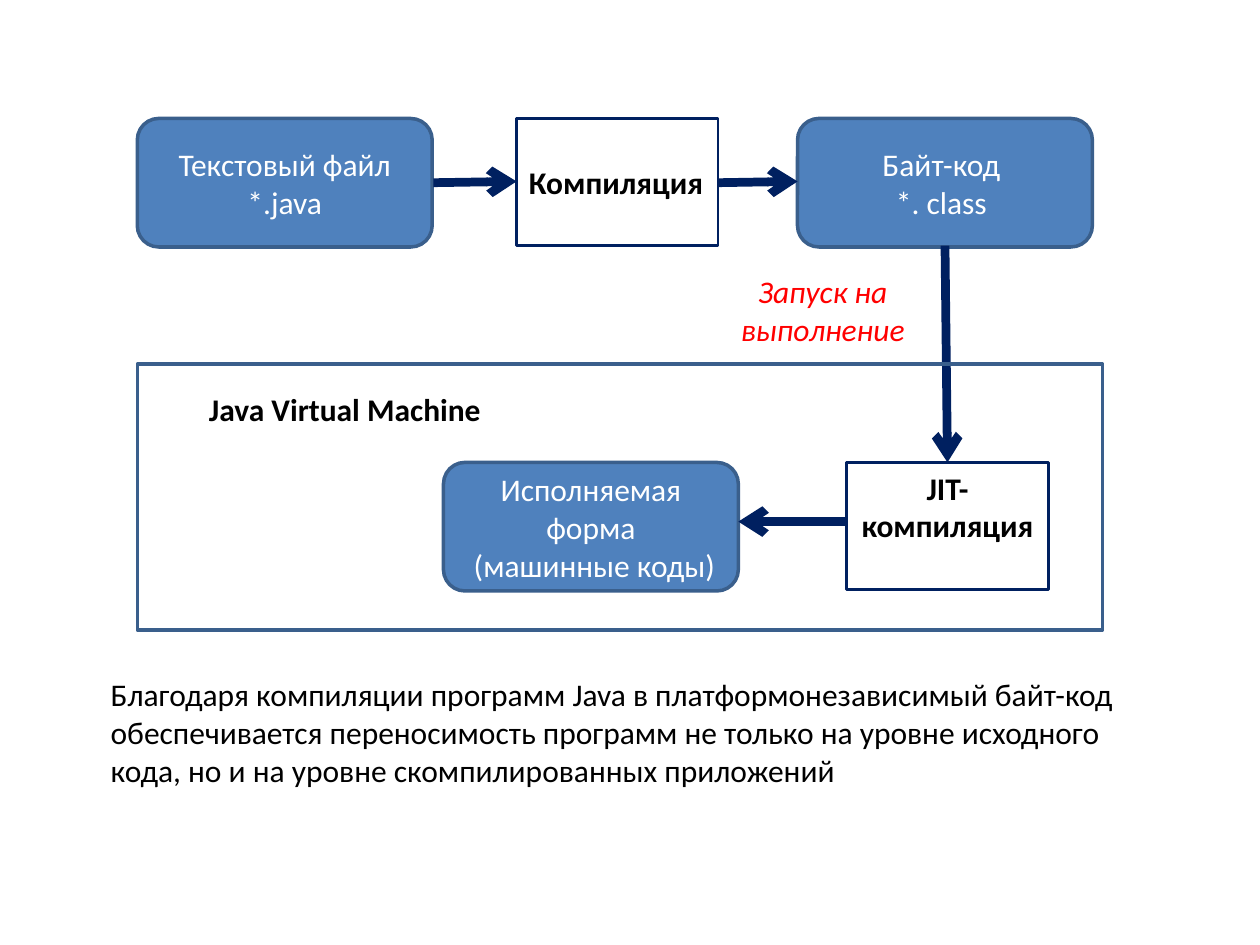
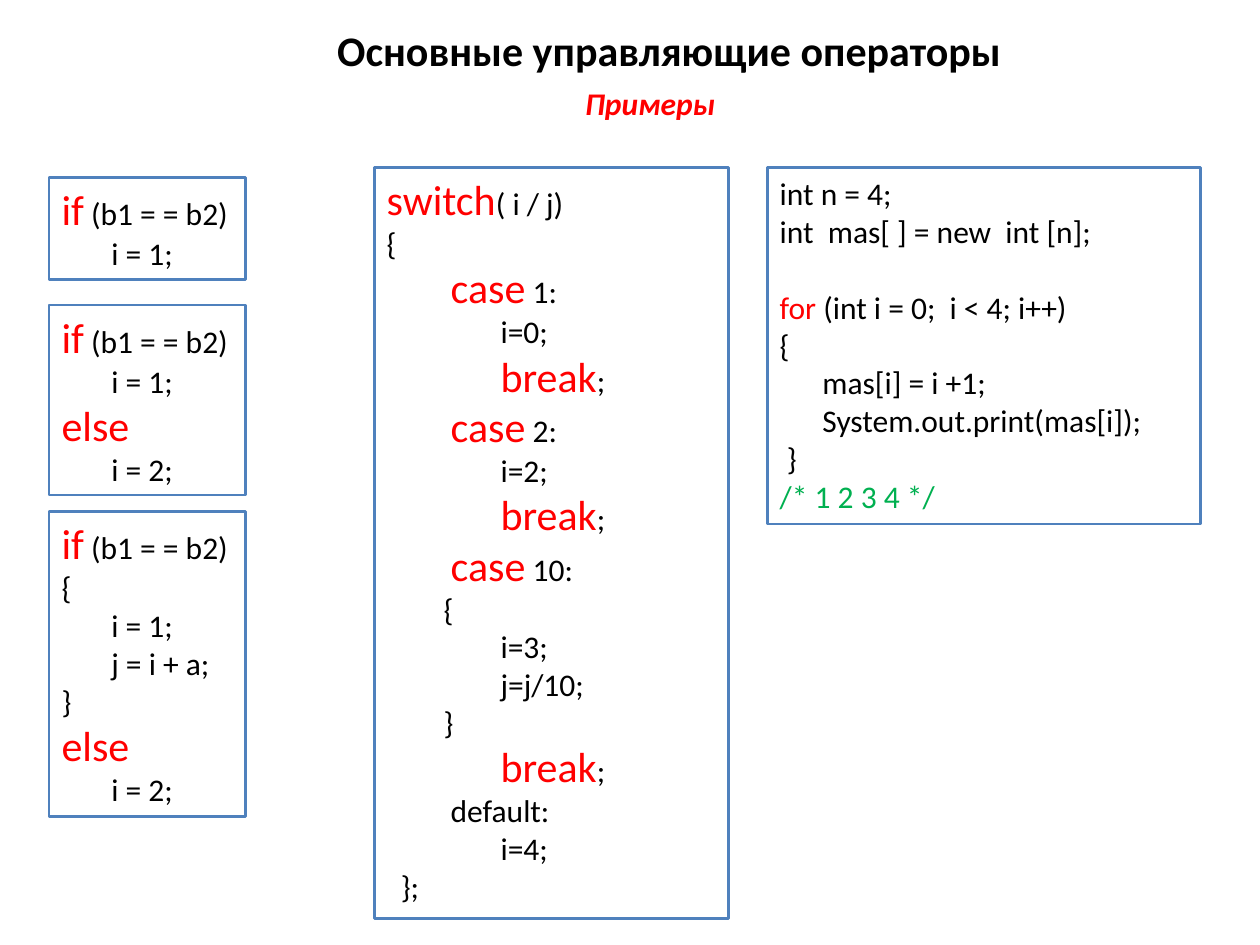
from lxml import etree
from pptx import Presentation
from pptx.dml.color import RGBColor
from pptx.enum.shapes import MSO_CONNECTOR, MSO_SHAPE
from pptx.enum.text import MSO_ANCHOR, PP_ALIGN
from pptx.oxml.ns import qn
from pptx.util import Inches, Pt

RECTANGLE = MSO_SHAPE.RECTANGLE
ROUNDED = MSO_SHAPE.ROUNDED_RECTANGLE
STRAIGHT = MSO_CONNECTOR.STRAIGHT
LEFT, CENTER = PP_ALIGN.LEFT, PP_ALIGN.CENTER
TOP, MIDDLE = MSO_ANCHOR.TOP, MSO_ANCHOR.MIDDLE

BLACK = RGBColor(0x00, 0x00, 0x00)
WHITE = RGBColor(0xFF, 0xFF, 0xFF)
RED = RGBColor(0xFF, 0x00, 0x00)
GREEN = RGBColor(0x00, 0xB0, 0x50)
BLUE = RGBColor(0x4F, 0x81, 0xBD)
STEEL = RGBColor(0x3A, 0x5F, 0x8C)
NAVY = RGBColor(0x00, 0x20, 0x60)

FONT = "Calibri"
BODY_SIZE, LARGE_SIZE = 18, 24
COLUMN_WIDTH = Pt(4.07)  # one character column of code indent
BLANK_LINE = Pt(22)


def add_run(paragraph, text, size=BODY_SIZE, color=BLACK, bold=False, italic=False):
    run = paragraph.add_run()
    run.text = text
    font = run.font
    font.name, font.size, font.color.rgb = FONT, Pt(size), color
    font.bold, font.italic = bold, italic


def paragraphs_for(frame, items):
    """Yield a paragraph of the frame for each item."""
    for index, item in enumerate(items):
        yield frame.add_paragraph() if index else frame.paragraphs[0], item


class SlideBuilder:
    def __init__(self, presentation):
        self.presentation = presentation
        self.slide = None

    def new_slide(self):
        self.slide = self.presentation.slides.add_slide(self.presentation.slide_layouts[6])

    def set_lines(self, frame, lines, align=LEFT, anchor=TOP, wrap=True, **style):
        frame.word_wrap = wrap
        frame.vertical_anchor = anchor
        for paragraph, line in paragraphs_for(frame, lines):
            paragraph.alignment = align
            add_run(paragraph, line, **style)

    def text(self, box, line, **style):
        textbox = self.slide.shapes.add_textbox(*map(Inches, box))
        self.set_lines(textbox.text_frame, [line], **style)

    def box(self, box, line_color, line_width, fill=None, kind=RECTANGLE):
        shape = self.slide.shapes.add_shape(kind, *map(Inches, box))
        shape.shadow.inherit = False
        if fill is None:
            shape.fill.background()
        else:
            shape.fill.solid()
            shape.fill.fore_color.rgb = fill
        shape.line.color.rgb = line_color
        shape.line.width = Pt(line_width)
        return shape

    def data_box(self, left, top, lines):
        shape = self.box((left, top, 2.34, 1.02), STEEL, 2, BLUE, ROUNDED)
        self.set_lines(shape.text_frame, lines, align=CENTER, anchor=MIDDLE, color=WHITE)

    def process_box(self, left, top, line, **style):
        shape = self.box((left, top, 1.6, 1.01), NAVY, 1.5)
        self.set_lines(shape.text_frame, [line], bold=True, **style)

    def arrow(self, *ends):
        connector = self.slide.shapes.add_connector(STRAIGHT, *map(Inches, ends))
        connector.line.color.rgb = NAVY
        connector.line.width = Pt(5)
        properties = connector._element.spPr
        etree.SubElement(properties.find(qn("a:ln")), qn("a:tailEnd"), type="arrow")
        etree.SubElement(properties, qn("a:effectLst"))

    def code_box(self, box, lines, keyword_size=LARGE_SIZE):
        """Each line is (indent columns, code); the part before | is a keyword."""
        frame = self.box(box, BLUE, 1.5).text_frame
        frame.word_wrap = True
        frame.vertical_anchor = TOP
        for paragraph, (columns, code) in paragraphs_for(frame, lines):
            paragraph.alignment = LEFT
            indent = int(columns * COLUMN_WIDTH)
            paragraph._p.get_or_add_pPr().set("marL", str(indent))
            keyword, _, rest = code.rpartition("|")
            if keyword:
                add_run(paragraph, keyword, size=keyword_size, color=RED)
            if rest:
                color = GREEN if rest.startswith("/*") else BLACK
                add_run(paragraph, rest, color=color)
        return frame


def build_compilation_slide(builder):
    builder.new_slide()

    # Data and processing steps
    top_row, jit_row = 0.94, 3.67
    builder.data_box(1.09, top_row, ["Текстовый файл", "*.java"])
    builder.data_box(6.33, top_row, ["Байт-код ", "*. class "])
    builder.process_box(4.1, top_row, "Компиляция", anchor=MIDDLE)
    builder.text((5.63, 2.11, 1.8, 0.71), "Запуск на выполнение",
                 align=CENTER, color=RED, italic=True)
    builder.data_box(3.52, jit_row, ["Исполняемая форма", " (машинные коды)"])
    builder.process_box(6.72, jit_row, "JIT-компиляция", align=CENTER)

    # Flow arrows
    for ends in ((3.44, 1.45, 4.1, 1.44), (5.7, 1.45, 6.33, 1.44),
                 (7.5, 1.95, 7.52, 3.67), (6.72, 4.14, 5.86, 4.14)):
        builder.arrow(*ends)

    # Conclusion
    builder.text((0.78, 5.31, 8.59, 1.01),
                 "Благодаря компиляции программ Java в платформонезависимый байт-код "
                 "обеспечивается переносимость программ не только на уровне исходного "
                 "кода, но и на уровне скомпилированных приложений")

    # Virtual machine frame
    builder.box((1.09, 2.89, 7.66, 2.11), STEEL, 2)
    builder.text((1.56, 3.05, 2.44, 0.4), "Java Virtual Machine", bold=True, wrap=False)


def build_operators_slide(builder):
    builder.new_slide()

    # Headings
    builder.text((2.34, 0.16, 5.94, 0.47), "Основные управляющие операторы",
                 align=CENTER, anchor=MIDDLE, size=LARGE_SIZE, bold=True)
    builder.text((3.44, 0.62, 3.44, 0.4), "Примеры",
                 align=CENTER, color=RED, bold=True, italic=True)

    # Conditional statements
    condition, assign_one = (0, "if| (b1 = = b2)"), (7, "i = 1;")
    else_branch = [(0, "else|"), (7, "i = 2;")]
    if_examples = [
        (1.41, 0.81, [condition, assign_one]),
        (2.42, 1.51, [condition, assign_one, *else_branch]),
        (4.06, 2.42, [condition, (0, "{"), assign_one, (7, "j = i + a;"), (0, "}"),
                      *else_branch]),
    ]
    for top, height, lines in if_examples:
        builder.code_box((0.39, top, 1.56, height), lines)

    # Switch statement
    break_line = (16, "break|;")
    builder.code_box((2.97, 1.33, 2.81, 5.96), [
        (0, "switch|( i / j)"), (0, "{"),
        (9, "case| 1:"), (16, "i=0;"), break_line,
        (9, "case| 2:"), (16, "i=2;"), break_line,
        (9, "case| 10:"), (8, "{"), (16, "i=3;"), (16, "j=j/10;"), (8, "}"), break_line,
        (9, "default:"), (16, "i=4;"), (2, "};"),
    ])

    # Loop
    loop = builder.code_box((6.09, 1.33, 3.44, 2.83), [
        (0, "int n = 4;"), (0, "int  mas[ ] = new  int [n];"),
        (0, "for| (int i = 0;  i < 4; i++)"), (0, "{"),
        (6, "mas[i] = i +1;"), (6, "System.out.print(mas[i]);"),
        (1, "}"), (0, "/* 1 2 3 4 */"),
    ], keyword_size=BODY_SIZE)
    loop.paragraphs[2].space_before = BLANK_LINE


def main():
    presentation = Presentation()
    presentation.slide_width = Inches(10)
    presentation.slide_height = Inches(7.5)
    builder = SlideBuilder(presentation)
    build_compilation_slide(builder)
    build_operators_slide(builder)
    presentation.save("out.pptx")


if __name__ == "__main__":
    main()
